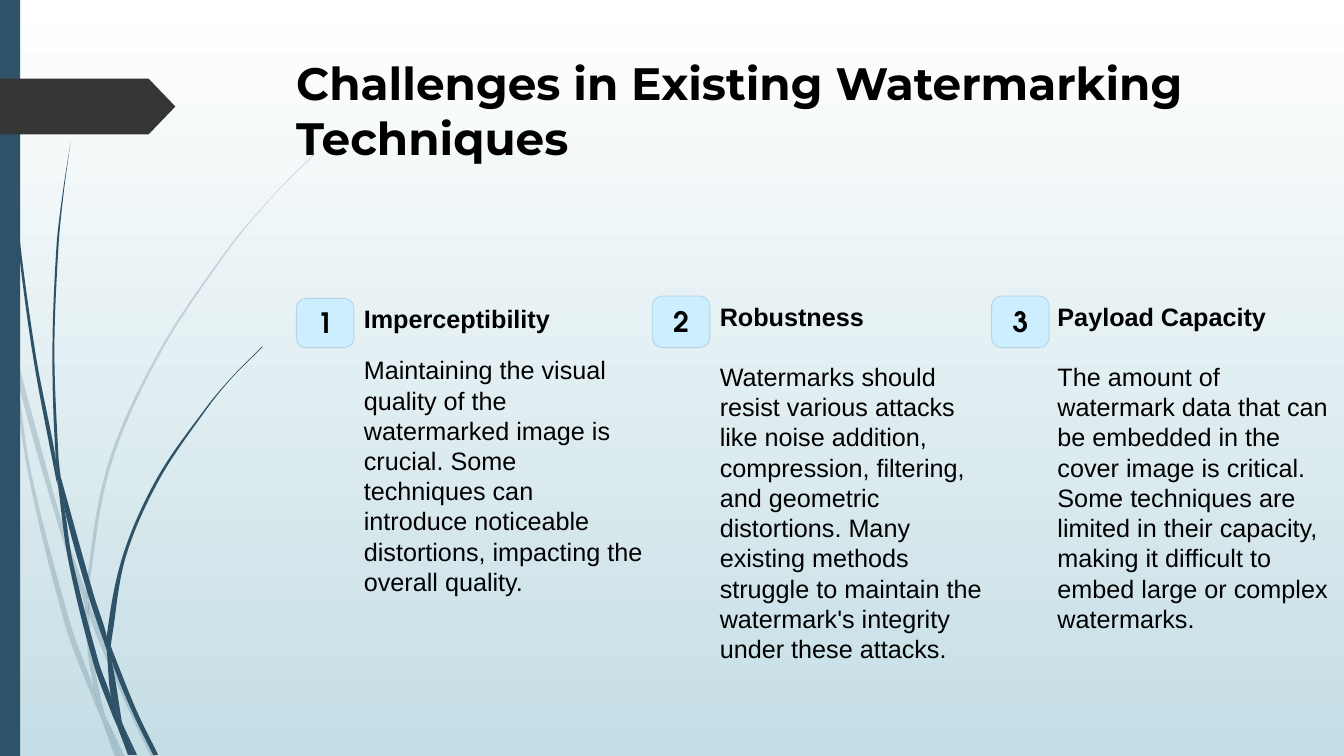
import pptx
import pptx.dml.color
import pptx.enum.shapes
import pptx.enum.text
import pptx.oxml.ns
import pptx.util
from lxml import etree

Cm = pptx.util.Cm
Pt = pptx.util.Pt
RGBColor = pptx.dml.color.RGBColor
PRESETS = pptx.enum.shapes.MSO_SHAPE
qn = pptx.oxml.ns.qn

WHITE = RGBColor(0xFF, 0xFF, 0xFF)
MIST = RGBColor(0xC5, 0xDE, 0xE5)
NAVY = RGBColor(0x2E, 0x53, 0x69)
CHARCOAL = RGBColor(0x35, 0x35, 0x35)
BLACK = RGBColor(0x00, 0x00, 0x00)
BADGE_FILL = RGBColor(0xCC, 0xEE, 0xFF)
BADGE_EDGE = RGBColor(0xB2, 0xD4, 0xE5)

GRASS_UNIT = Cm(0.0254)
TITLE_FONT = {"name": "Montserrat", "size": Pt(32.4), "bold": True}
BADGE_FONT = {"name": "TeX Gyre Adventor", "size": Pt(20), "bold": True}
HEADING_FONT = {"name": "Arial", "size": Pt(18), "bold": True}
DETAIL_FONT = {"name": "Arial", "size": Pt(18), "bold": False}

PALE_GRASS = [
    ([(0, 282), (0, 299), (10, 344), (11, 350)], [(0, 282), (9, 322), (11, 350)]),
    ([(14, 345), (17, 376), (58, 522), (84, 599)], [(14, 345), (62, 520), (85, 586)]),
    ([(88, 596), (88, 610), (123, 694), (150, 751)],
     [(88, 596), (92, 607), (127, 692), (155, 751)]),
    ([(105, 711), (119, 751)], [(105, 711), (124, 751)]),
    ([(11, 350), (28, 470), (65, 621), (92, 693), (101, 714)],
     [(11, 350), (17, 376), (31, 469), (70, 619), (93, 683), (99, 707), (101, 714)]),
    ([(84, 599), (87, 646), (93, 683), (96, 692), (105, 711)],
     [(84, 599), (88, 610), (91, 646), (103, 706), (105, 711)]),
    ([(312, 153), (289, 175), (268, 197), (228, 244), (158, 348), (107, 461),
      (85, 586), (88, 596)],
     [(312, 154), (290, 175), (268, 198), (229, 245), (160, 349), (110, 462),
      (88, 584), (88, 596)]),
    ([(101, 714), (114, 751)], [(101, 714), (119, 751)]),
    ([(85, 586), (84, 599), (88, 610)], [(85, 586), (88, 596), (88, 610)]),
    ([(93, 683), (99, 707), (101, 714), (119, 751)],
     [(93, 683), (96, 692), (105, 711), (119, 751)]),
]
DARK_GRASS = [
    ([(3, 0), (4, 48), (7, 110), (17, 233), (33, 355), (56, 477), (57, 481)],
     [(4, 0), (5, 48), (8, 109), (19, 232), (36, 355), (55, 453), (57, 481)]),
    ([(60, 472), (64, 505), (88, 592), (106, 645)],
     [(60, 472), (93, 590), (106, 631), (106, 645)]),
    ([(110, 641), (111, 656), (132, 708), (152, 749)],
     [(110, 641), (113, 649), (136, 706), (157, 749)]),
    ([(57, 477), (68, 557), (93, 659), (111, 708), (117, 722)],
     [(57, 477), (64, 505), (72, 556), (98, 657), (110, 691), (117, 722)]),
    ([(70, 141), (62, 193), (56, 245), (52, 349), (55, 449), (60, 472)],
     [(70, 141), (63, 193), (58, 245), (54, 349), (58, 453), (60, 472)]),
    ([(122, 719), (133, 749)], [(122, 719), (136, 749)]),
    ([(55, 449), (57, 477), (64, 505)], [(55, 449), (60, 472), (64, 505)]),
    ([(260, 344), (231, 373), (204, 405), (156, 474), (122, 551), (106, 631), (110, 641)],
     [(261, 344), (231, 374), (205, 406), (158, 476), (125, 552), (111, 633), (110, 641)]),
    ([(117, 722), (127, 749)], [(117, 722), (131, 749)]),
    ([(106, 645), (110, 691), (116, 706), (122, 719)],
     [(106, 645), (111, 656), (121, 716), (122, 719)]),
    ([(106, 631), (106, 645), (111, 656)], [(106, 631), (110, 641), (111, 656)]),
    ([(110, 691), (117, 722), (130, 749)],
     [(110, 691), (116, 706), (122, 719), (133, 749)]),
]
CHALLENGES = [
    ("1", "Imperceptibility",
     "Maintaining the visual quality of the watermarked image is crucial. Some "
     "techniques can introduce noticeable distortions, impacting the overall quality.",
     (7.47, 7.52, 8.99, 8.33), 1.24, 1.45, 15),
    ("2", "Robustness",
     "Watermarks should resist various attacks like noise addition, compression, "
     "filtering, and geometric distortions. Many existing methods struggle to "
     "maintain the watermark's integrity under these attacks.",
     (16.44, 7.46, 8.99, 10.26), 1.3, 1.45, 21.5),
    ("3", "Payload Capacity",
     "The amount of watermark data that can be embedded in the cover image is "
     "critical. Some techniques are limited in their capacity, making it difficult "
     "to embed large or complex watermarks.",
     (24.99, 7.46, 8.75, 9.5), 1.3, 1.41, 21.5),
]


def apply(target, formats):
    for attribute, value in formats.items():
        setattr(target, attribute, value)


def write(paragraph, words, font_format, **paragraph_format):
    apply(paragraph, paragraph_format)
    run = paragraph.add_run()
    run.text = words
    apply(run.font, font_format)
    run.font.color.rgb = BLACK


def paint(shape, color, edge=None):
    shape.shadow.inherit = False
    shape.fill.solid()
    shape.fill.fore_color.rgb = color
    if edge is None:
        shape.line.fill.background()
    else:
        shape.line.color.rgb = edge
        shape.line.width = Pt(0.6)


def curve_points(knots):
    slopes = []
    for i in range(len(knots)):
        (x0, y0), (x1, y1) = knots[max(i - 1, 0)], knots[min(i + 1, len(knots) - 1)]
        slopes.append((x1 - x0) / (y1 - y0))
    points = [knots[0]]
    for i, ((x0, y0), (x1, y1)) in enumerate(zip(knots, knots[1:])):
        third = (y1 - y0) / 3
        points += [(x0 + slopes[i] * third, y0 + third),
                   (x1 - slopes[i + 1] * third, y1 - third), (x1, y1)]
    return points


def bend_lines(blade, cap):
    lines = blade.element.xpath(".//a:path/a:lnTo")
    curved = lines[:cap] + lines[cap + 1:]
    for first, second, third in zip(curved[::3], curved[1::3], curved[2::3]):
        curve = etree.Element(qn("a:cubicBezTo"))
        first.addprevious(curve)
        for line in (first, second, third):
            curve.append(line[0])
            line.getparent().remove(line)


def draw_grass(slide, left, top, blades, opacity=None):
    for left_edge, right_edge in blades:
        descent = curve_points(left_edge)
        outline = [(round(left + x * GRASS_UNIT), round(top + y * GRASS_UNIT))
                   for x, y in descent + curve_points(right_edge)[::-1]]
        builder = slide.shapes.build_freeform(*outline[0])
        builder.add_line_segments(outline[1:], close=True)
        blade = builder.convert_to_shape()
        bend_lines(blade, len(descent) - 1)
        paint(blade, NAVY)
        if opacity is not None:
            color = blade.element.xpath("./p:spPr/a:solidFill/a:srgbClr")[0]
            etree.SubElement(color, qn("a:alpha")).set("val", str(opacity * 1000))


def draw_side_decoration(slide, left, top, height):
    draw_grass(slide, left, top, PALE_GRASS, 20)
    draw_grass(slide, left, top, DARK_GRASS)
    band = slide.shapes.add_shape(PRESETS.RECTANGLE, left, top, Cm(0.51), height)
    paint(band, NAVY)
    marker = slide.shapes.add_shape(
        PRESETS.PENTAGON, left, top + Cm(1.98), Cm(4.42), Cm(1.41))
    marker.adjustments[0] = 0.48
    paint(marker, CHARCOAL)


def place_title(slide, words, left, top, width, height):
    title = slide.shapes.title
    apply(title, {"left": left, "top": top, "width": width, "height": height})
    apply(title.text_frame, {
        "word_wrap": True,
        "auto_size": pptx.enum.text.MSO_AUTO_SIZE.NONE,
        "vertical_anchor": pptx.enum.text.MSO_ANCHOR.TOP,
    })
    write(title.text_frame.paragraphs[0], words, TITLE_FONT,
          alignment=pptx.enum.text.PP_ALIGN.LEFT)
    title.element.getparent().append(title.element)


def draw_challenge(slide, number, heading, detail, box, badge_height, indent, gap):
    left, top, width, height = map(Cm, box)
    badge = slide.shapes.add_shape(
        PRESETS.ROUNDED_RECTANGLE, left, top, Cm(1.45), Cm(badge_height))
    badge.adjustments[0] = 0.19
    paint(badge, BADGE_FILL, BADGE_EDGE)
    apply(badge.text_frame, {
        "margin_top": 0, "margin_bottom": Cm(0.05),
        "vertical_anchor": pptx.enum.text.MSO_ANCHOR.MIDDLE,
    })
    write(badge.text_frame.paragraphs[0], number, BADGE_FONT,
          alignment=pptx.enum.text.PP_ALIGN.CENTER)
    column = slide.shapes.add_textbox(
        left + Cm(indent), top, width - Cm(indent), height).text_frame
    apply(column, {
        "word_wrap": True,
        "auto_size": pptx.enum.text.MSO_AUTO_SIZE.SHAPE_TO_FIT_TEXT,
    })
    write(column.paragraphs[0], heading, HEADING_FONT)
    write(column.add_paragraph(), detail, DETAIL_FONT, space_before=Pt(gap))


def main():
    deck = pptx.Presentation()
    apply(deck, {"slide_width": Cm(33.87), "slide_height": Cm(19.05)})
    slide = deck.slides.add_slide(deck.slide_layouts[5])
    backdrop = slide.background.fill
    backdrop.gradient()
    backdrop.gradient_angle = 270
    for stop, color, position in zip(backdrop.gradient_stops, (WHITE, MIST), (0, 1)):
        stop.color.rgb = color
        stop.position = position
    draw_side_decoration(slide, 0, 0, deck.slide_height)
    place_title(slide, "Challenges in Existing Watermarking Techniques",
                Cm(7.21), Cm(1.27), Cm(24.77), Cm(3.56))
    for challenge in CHALLENGES:
        draw_challenge(slide, *challenge)
    deck.save("out.pptx")


if __name__ == "__main__":
    main()
